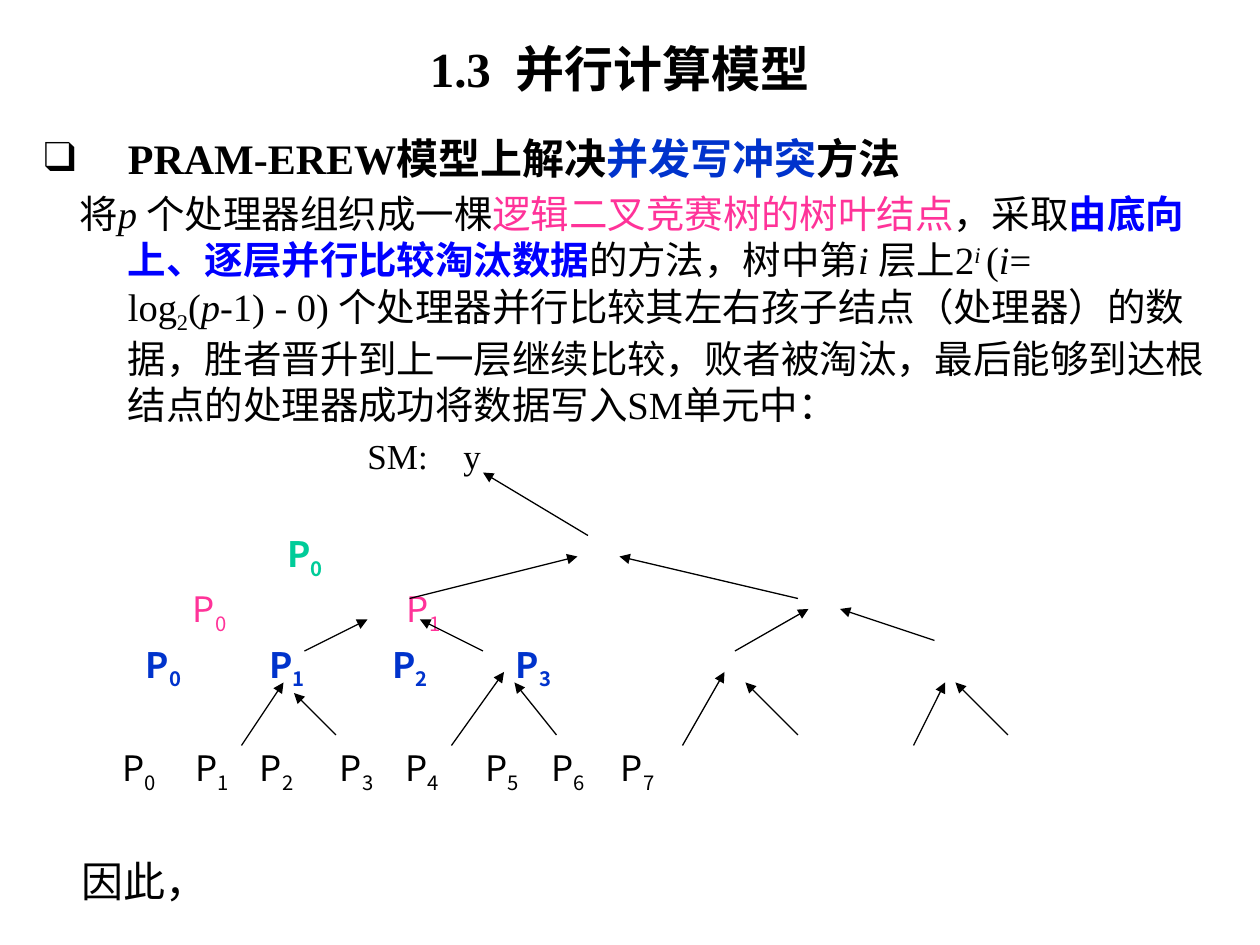
from lxml.etree import SubElement
from pptx import Presentation
from pptx.dml.color import RGBColor
from pptx.enum.shapes import MSO_CONNECTOR
from pptx.enum.text import MSO_ANCHOR, PP_ALIGN
from pptx.oxml.ns import qn
from pptx.util import Emu, Pt

PX = 9525  # 96 px to the inch
SERIF = "Times New Roman"
SANS = "Noto Sans CJK SC"
COLORS = {
    "black": "000000",
    "navy": "0033CC",
    "blue": "0000FF",
    "pink": "FF3399",
    "green": "00CC99",
}


def add_run(paragraph, text, size, font=SERIF, color="black", bold=False, italic=False, baseline=0):
    """Add one run; baseline is a percentage, above zero for superscript."""
    run = paragraph.add_run()
    run.text = text
    run.font.size = Pt(size)
    run.font.name = font
    run.font.bold = bold
    run.font.italic = italic
    run.font.color.rgb = RGBColor.from_string(COLORS[color])
    properties = run._r.get_or_add_rPr()
    SubElement(properties, qn("a:ea")).set("typeface", SANS)
    if baseline:
        properties.set("baseline", str(baseline * 1000))


def add_text_frame(left, top, width, height, wrap=True):
    box = slide.shapes.add_textbox(*(Emu(value * PX) for value in (left, top, width, height)))
    frame = box.text_frame
    frame.word_wrap = wrap
    if not wrap:
        frame.margin_left = frame.margin_right = frame.margin_top = frame.margin_bottom = 0
    return frame


presentation = Presentation()
presentation.slide_width = Emu(960 * PX)
presentation.slide_height = Emu(720 * PX)
slide = presentation.slides.add_slide(presentation.slide_layouts[6])

# Title
title = add_text_frame(64, 32, 816, 40)
title.vertical_anchor = MSO_ANCHOR.MIDDLE
title.paragraphs[0].alignment = PP_ALIGN.CENTER
add_run(title.paragraphs[0], "1.3  并行计算模型", 28, bold=True)

# Heading and explanation
body = add_text_frame(24, 96, 905, 240)
heading = body.paragraphs[0]
explanation = body.add_paragraph()
for paragraph, indent, space in ((heading, -64, 4.8), (explanation, -37, 4.4)):
    paragraph.space_before = Pt(space)
    properties = paragraph._p.get_or_add_pPr()
    properties.set("marL", str(64 * PX))
    properties.set("indent", str(indent * PX))
heading_properties = heading._p.get_or_add_pPr()
SubElement(heading_properties, qn("a:buFont")).set("typeface", SERIF)
SubElement(heading_properties, qn("a:buChar")).set("char", "❑")

for text, font, color in (
    ("PRAM-EREW模型上", SERIF, "black"),
    ("解决", SANS, "black"),
    ("并发写冲突", SANS, "navy"),
    ("方法", SANS, "black"),
):
    add_run(heading, text, 24, font, color, bold=True)

for text, style in (
    ("将", {}),
    ("p ", {"italic": True}),
    ("个处理器组织成一棵", {}),
    ("逻辑二叉竞赛树的树叶结点", {"color": "pink"}),
    ("，采取", {}),
    ("由底向上、逐层并行比较淘汰数据", {"color": "blue", "bold": True}),
    ("的方法，树中第", {}),
    ("i ", {"italic": True}),
    ("层上2", {}),
    ("i ", {"italic": True, "baseline": 30}),
    ("(", {}),
    ("i", {"italic": True}),
    ("=", {}),
):
    add_run(explanation, text, 22, **style)
explanation.add_line_break()
for text, style in (
    ("log", {}),
    ("2", {"baseline": -25}),
    ("(", {}),
    ("p-", {"italic": True}),
    ("1) - 0) 个处理器并行比较其左右孩子结点（处理器）的数据，"
     "胜者晋升到上一层继续比较，败者被淘汰，"
     "最后能够到达根结点的处理器成功将数据写入SM单元中：", {}),
):
    add_run(explanation, text, 22, **style)

# Shared memory cell and closing word
for text, left, top, width, size in (
    ("SM:", 280, 331, 48, 20),
    ("y", 353, 331, 16, 20),
    ("因此，", 62, 652, 100, 24),
):
    frame = add_text_frame(left, top, width, 40, wrap=False)
    add_run(frame.paragraphs[0], text, size)

# Processor labels, one tree level a row
for top, color, bold, lefts in (
    (406, "green", True, (219,)),
    (448, "pink", False, (147, 310)),
    (490, "navy", True, (111, 205, 299, 393)),
    (569, "black", False, (93, 149, 198, 259, 309, 370, 420, 473)),
):
    for number, left in enumerate(lefts):
        paragraph = add_text_frame(left, top, 32, 40, wrap=False).paragraphs[0]
        add_run(paragraph, "P", 20, SANS, color, bold)
        add_run(paragraph, str(number), 20, SANS, color, bold, baseline=-25)

# Tree arrows, from the leaves up to the memory cell
for ends in (
    (184, 568, 216, 520), (256, 560, 224, 528),
    (344, 568, 384, 512), (424, 560, 392, 520),
    (520, 568, 552, 512), (608, 560, 568, 520),
    (696, 568, 720, 520), (768, 560, 728, 520),
    (232, 496, 280, 472), (368, 496, 320, 472),
    (560, 496, 616, 464), (712, 488, 640, 464),
    (312, 456, 440, 424), (608, 456, 472, 424),
    (448, 408, 368, 360),
):
    arrow = slide.shapes.add_connector(MSO_CONNECTOR.STRAIGHT, *(Emu(value * PX) for value in ends))
    arrow.line.width = Pt(0.75)
    arrow.line.color.rgb = RGBColor.from_string(COLORS["black"])
    SubElement(arrow.line._get_or_add_ln(), qn("a:tailEnd")).set("type", "triangle")
    SubElement(arrow._element.spPr, qn("a:effectLst"))

presentation.save("out.pptx")
